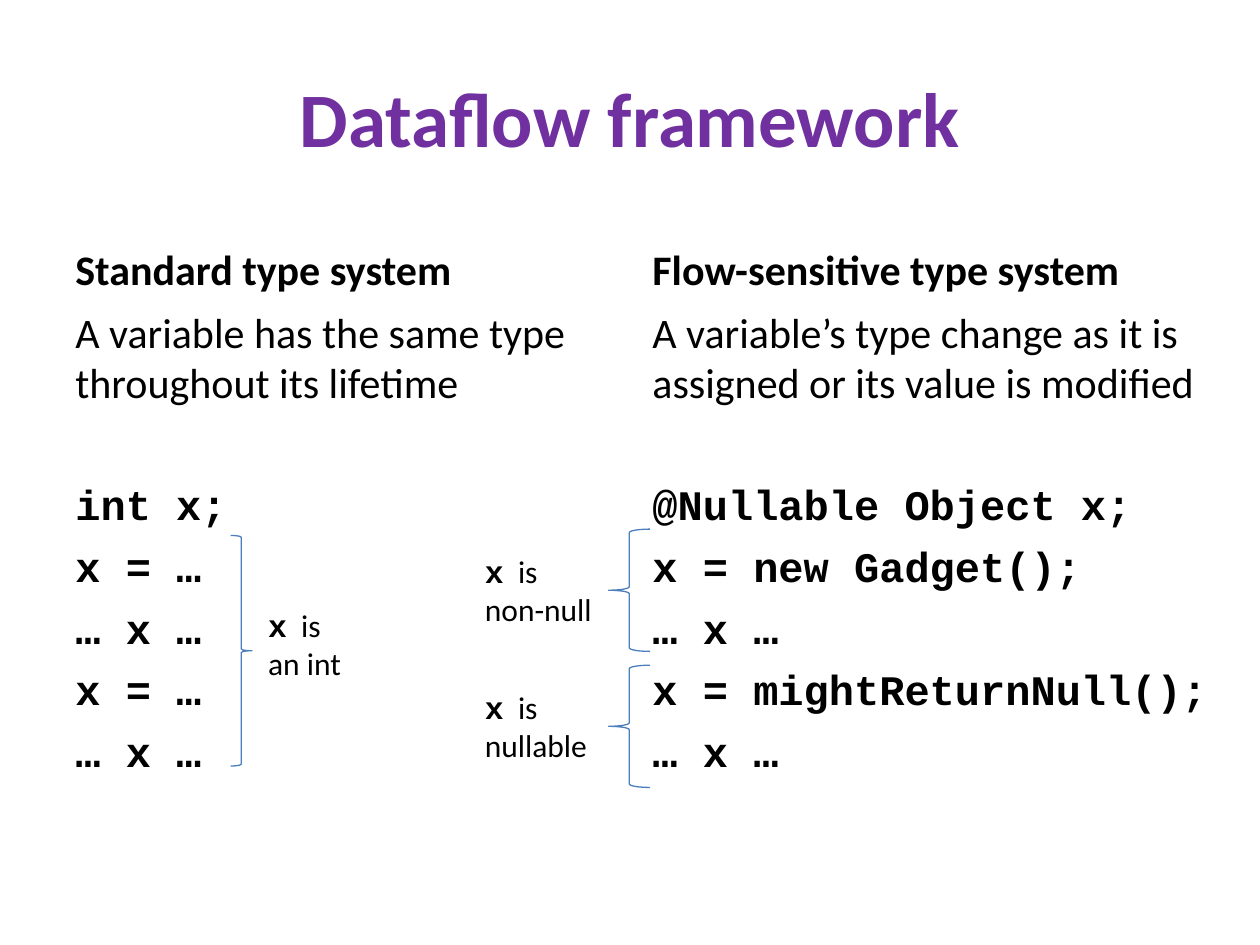
from dataclasses import dataclass

import pptx
import pptx.dml.color
import pptx.enum.shapes
import pptx.enum.text
import pptx.util

SCALE = 9144
SHAPE = pptx.enum.shapes.MSO_SHAPE
ANCHOR = pptx.enum.text.MSO_ANCHOR
ALIGN = pptx.enum.text.PP_ALIGN
AUTO = pptx.enum.text.MSO_AUTO_SIZE


@dataclass(frozen=True)
class Theme:
    title: str = "7030A0"
    text: str = "000000"
    brace: str = "4B7EBC"
    sans: str = "Calibri"
    mono: str = "Courier New"
    title_pt: int = 44
    body_pt: int = 24
    label_pt: int = 18
    line_pt: float = 0.75
    code_gap_pt: float = 6.5
    section_gap_pt: float = 41


@dataclass(frozen=True)
class Box:
    x: int
    y: int
    w: int
    h: int


@dataclass(frozen=True)
class Column:
    x: int
    body_w: int
    heading: str
    summary: str
    code: tuple[str, ...]


@dataclass(frozen=True)
class Scope:
    kind: SHAPE
    brace: Box
    label: Box
    state: str


T = Theme()
TITLE_FMT = dict(name=T.sans, size=T.title_pt, bold=True, color=T.title)
HEAD_FMT = dict(name=T.sans, size=T.body_pt, bold=True, color=T.text)
BODY_FMT = dict(HEAD_FMT, bold=False)
CODE_FMT = dict(HEAD_FMT, name=T.mono)
VAR_FMT = dict(CODE_FMT, size=T.label_pt)
LABEL_FMT = dict(BODY_FMT, size=T.label_pt)

COLUMNS = (
    Column(50, 442, "Standard type system",
           "A variable has the same type throughout its lifetime",
           ("int x;", "x = …", "… x …", "x = …", "… x …")),
    Column(508, 467, "Flow-sensitive type system",
           "A variable’s type change as it is assigned or its value is modified",
           ("@Nullable Object x;", "x = new Gadget();", "… x …",
            "x = mightReturnNull();", "… x …")),
)
SCOPES = (
    Scope(SHAPE.RIGHT_BRACE, Box(183, 425, 17, 183), Box(203, 476, 80, 71), "an int"),
    *(Scope(SHAPE.LEFT_BRACE, Box(483, y, 33, 97), Box(375, y + 13, 108, 71), state)
      for y, state in ((420, "non-null"), (528, "nullable"))),
)


def emu(box: Box) -> list[int]:
    return [v * SCALE for v in (box.x, box.y, box.w, box.h)]


def add_run(p, text: str, fmt: dict) -> None:
    r = p.add_run()
    r.text = text
    for key, value in fmt.items():
        if key == "color":
            r.font.color.rgb = pptx.dml.color.RGBColor.from_string(value)
        else:
            setattr(r.font, key, pptx.util.Pt(value) if key == "size" else value)


def add_text(s, box: Box, **frame):
    tf = s.shapes.add_textbox(*emu(box)).text_frame
    for key, value in dict(word_wrap=True, **frame).items():
        setattr(tf, key, value)
    return tf


def draw_column(s, col: Column) -> None:
    tf = add_text(s, Box(col.x, 168, 442, 70), vertical_anchor=ANCHOR.BOTTOM)
    add_run(tf.paragraphs[0], col.heading, HEAD_FMT)
    tf = add_text(s, Box(col.x, 238, col.body_w, 432))
    add_run(tf.paragraphs[0], col.summary, BODY_FMT)
    for i, line in enumerate(col.code):
        p = tf.add_paragraph()
        p.space_before = pptx.util.Pt(T.code_gap_pt if i else T.section_gap_pt)
        add_run(p, line, CODE_FMT)


def draw_scope(s, scope: Scope) -> None:
    sp = s.shapes.add_shape(scope.kind, *emu(scope.brace))
    sp.shadow.inherit = False
    sp.fill.background()
    sp.line.color.rgb = pptx.dml.color.RGBColor.from_string(T.brace)
    sp.line.width = pptx.util.Pt(T.line_pt)
    p = add_text(s, scope.label, auto_size=AUTO.SHAPE_TO_FIT_TEXT).paragraphs[0]
    add_run(p, "x", VAR_FMT)
    add_run(p, "  is", LABEL_FMT)
    p.add_line_break()
    add_run(p, scope.state, LABEL_FMT)


def main() -> None:
    prs = pptx.Presentation()
    prs.slide_width, prs.slide_height = 1000 * SCALE, 750 * SCALE
    s = prs.slides.add_slide(prs.slide_layouts[6])
    p = add_text(s, Box(50, 30, 900, 125), vertical_anchor=ANCHOR.MIDDLE).paragraphs[0]
    p.alignment = ALIGN.CENTER
    add_run(p, "Dataflow framework", TITLE_FMT)
    for col in COLUMNS:
        draw_column(s, col)
    for scope in SCOPES:
        draw_scope(s, scope)
    prs.save("out.pptx")


if __name__ == "__main__":
    main()
